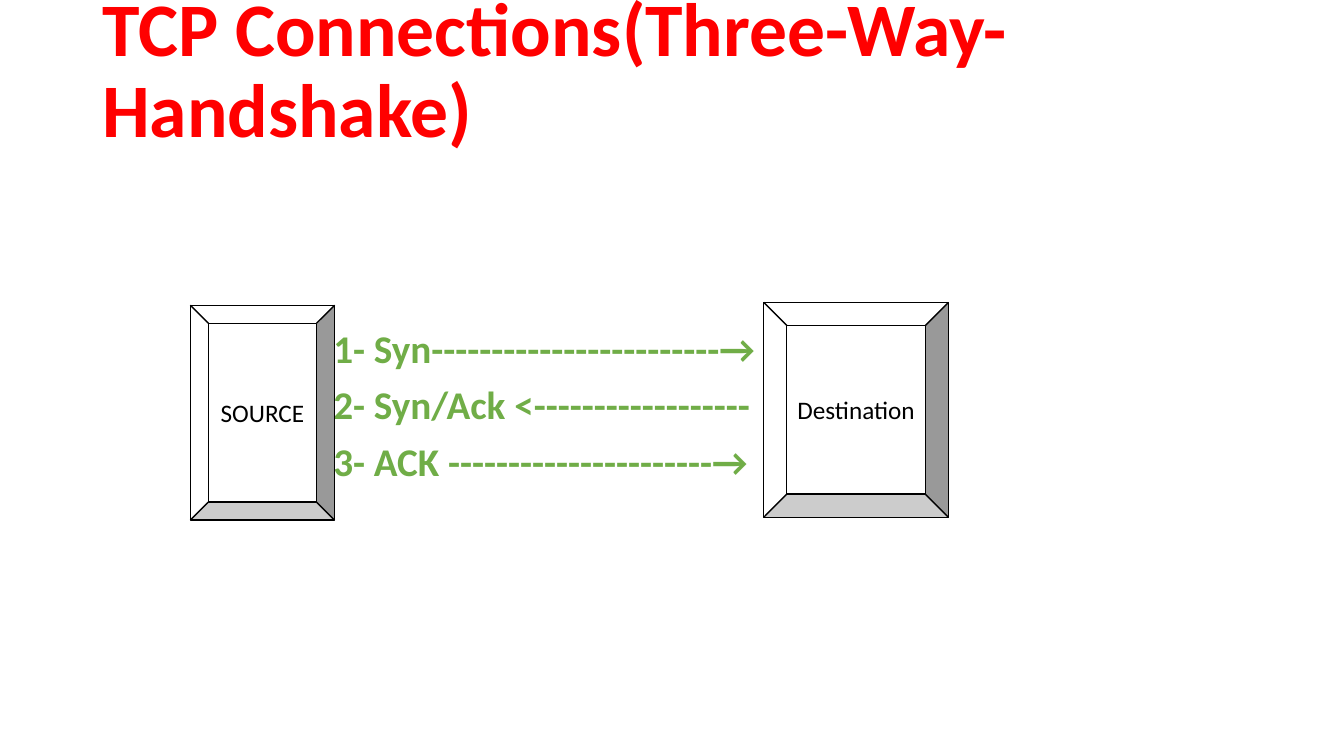
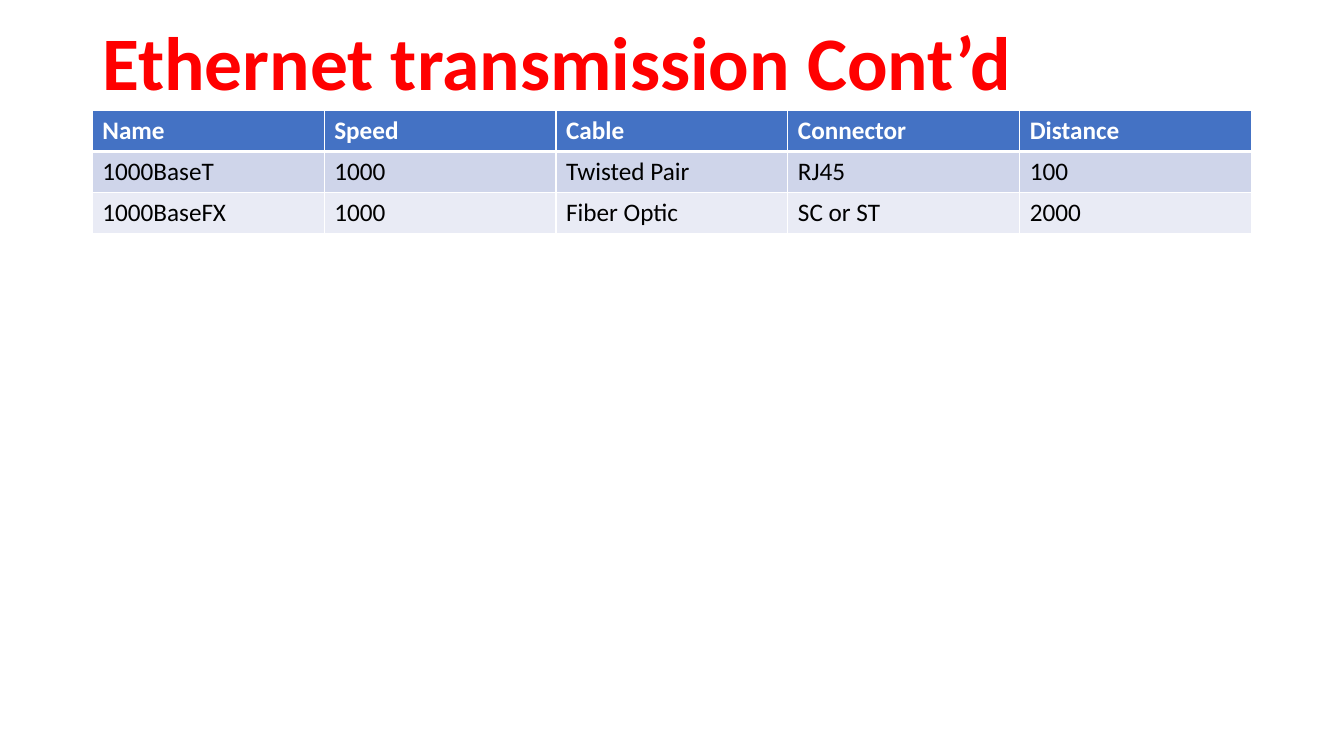
from pptx import Presentation
from pptx.dml.color import RGBColor
from pptx.enum import shapes, text
from pptx.oxml import parse_xml
from pptx.oxml.ns import nsdecls
from pptx.util import Pt

FONT = "Calibri"
RED, GREEN, BLUE = "FF0000", "70AD47", "4472C4"
BLACK, WHITE = "000000", "FFFFFF"
BANDS = ["CFD5EA", "E9EBF5"]
LEFT, WIDE = 66, 828


def color(code):
    """Turn a hex string into a colour."""
    return RGBColor.from_string(code)


def write(frame, *lines, size=18, tint=BLACK, bold=False, align=None,
          space=None, gap=0):
    """Fill a text frame with one formatted paragraph per line."""
    frame.word_wrap = True
    for i, line in enumerate(lines):
        para = frame.add_paragraph() if i else frame.paragraphs[0]
        para.text = line
        para.alignment = align
        para.line_spacing = space
        if i:
            para.space_before = Pt(gap)
        font = para.runs[0].font
        font.name, font.size, font.bold = FONT, Pt(size), bold
        font.color.rgb = color(tint)


def label(slide, box, *lines, anchor=text.MSO_ANCHOR.TOP, **form):
    """Add a text box at left, top, width, height."""
    frame = slide.shapes.add_textbox(*map(Pt, box)).text_frame
    frame.vertical_anchor = anchor
    write(frame, *lines, bold=True, space=0.9, **form)


def title(slide, words, high):
    """Add the red slide title."""
    label(slide, (LEFT, 28.8, WIDE, high), words, size=54, tint=RED,
          anchor=text.MSO_ANCHOR.MIDDLE)


def host(slide, box, name):
    """Add a bevelled box for one end of the connection."""
    shape = slide.shapes.add_shape(shapes.MSO_SHAPE.BEVEL, *map(Pt, box))
    shape.shadow.inherit = False
    shape.fill.solid()
    shape.fill.fore_color.rgb = color(WHITE)
    shape.line.color.rgb = color(BLACK)
    shape.line.width = Pt(1)
    frame = shape.text_frame
    frame.margin_left = frame.margin_right = 0
    frame.vertical_anchor = text.MSO_ANCHOR.MIDDLE
    write(frame, name, align=text.PP_ALIGN.CENTER)


def border(cell, **widths):
    """Draw white cell borders, given widths for L, R, T and B in order."""
    props = cell._tc.get_or_add_tcPr()
    for side, width in widths.items():
        props.append(parse_xml(
            f'<a:ln{side} {nsdecls("a")} w="{Pt(width)}"><a:solidFill>'
            f'<a:srgbClr val="{WHITE}"/></a:solidFill></a:ln{side}>'))


def grid(slide, top, high, rows):
    """Add a table with a blue header and banded rows."""
    count = len(rows[0])
    table = slide.shapes.add_table(len(rows), count, Pt(LEFT), Pt(top),
                                   Pt(WIDE), Pt(high * len(rows))).table
    for r, row in enumerate(rows):
        head = r == 0
        for c, words in enumerate(row):
            cell = table.cell(r, c)
            border(cell, L=1, R=1, T=3 if r == 1 else 1, B=3 if head else 1)
            cell.fill.solid()
            cell.fill.fore_color.rgb = color(BLUE if head else BANDS[(r - 1) % 2])
            write(cell.text_frame, words, bold=head,
                  tint=WHITE if head else BLACK)


def shake(slide):
    """Build the handshake slide."""
    title(slide, "TCP Connections(Three-Way-Handshake)", 46)
    label(slide, (231, 232, 720, 178),
          "1- Syn" + "-" * 24 + "→",
          "2- Syn/Ack <" + "-" * 18,
          "3- ACK " + "-" * 22 + "→",
          size=28, tint=GREEN, gap=10)
    host(slide, (136, 218, 103, 153.5), "SOURCE")
    host(slide, (545.5, 216, 132, 153.5), "Destination")


def ether(slide):
    """Build the Ethernet table slide."""
    title(slide, "Ethernet transmission Cont’d", 36.5)
    grid(slide, 79, 29.2, [
        ["Name", "Speed", "Cable", "Connector", "Distance"],
        ["1000BaseT", "1000", "Twisted Pair", "RJ45", "100"],
        ["1000BaseFX", "1000", "Fiber Optic", "SC or ST", "2000"],
    ])


def main():
    """Build and save the deck."""
    deck = Presentation()
    deck.slide_width, deck.slide_height = Pt(960), Pt(540)
    for build in (shake, ether):
        build(deck.slides.add_slide(deck.slide_layouts[6]))
    deck.save("out.pptx")


if __name__ == "__main__":
    main()
